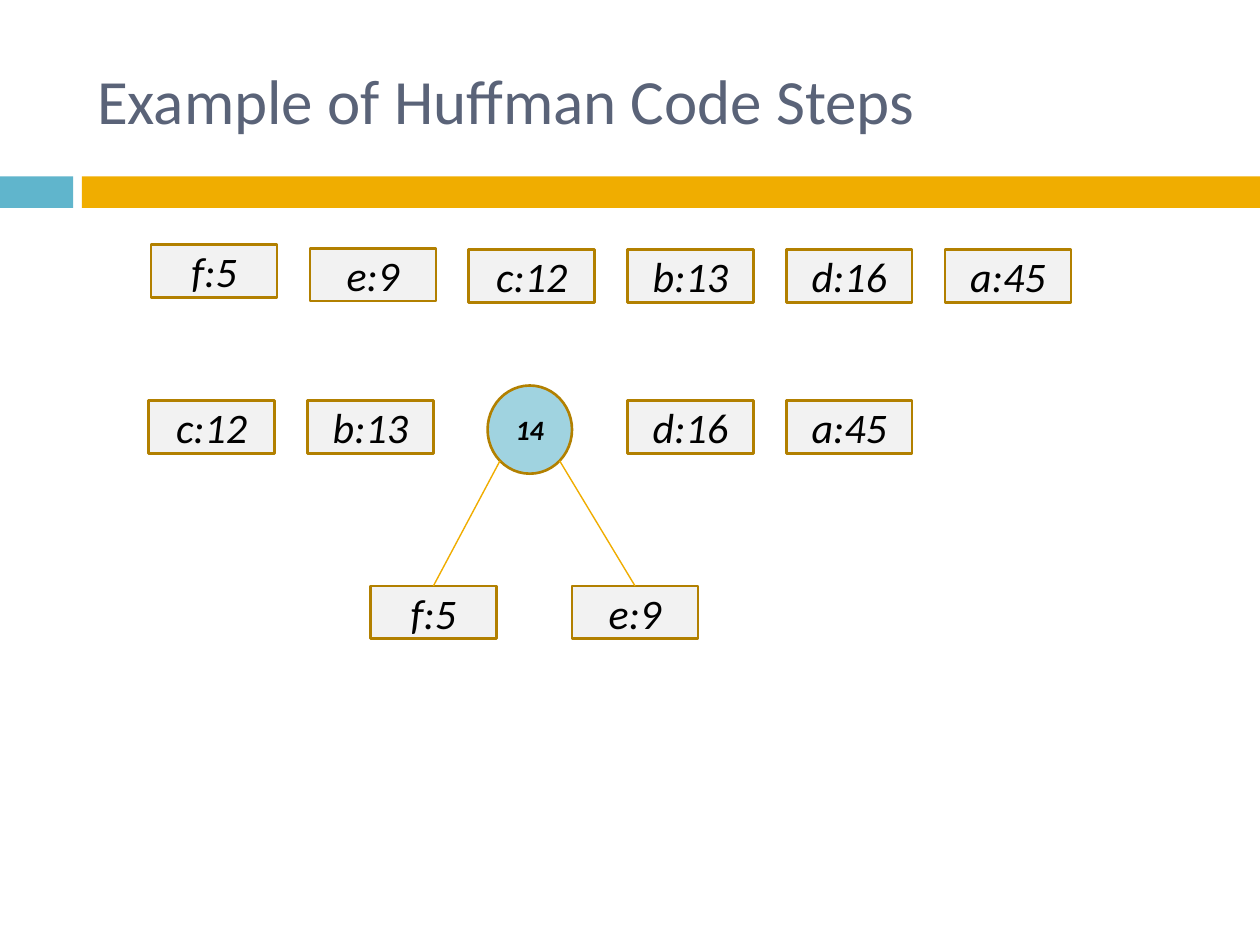
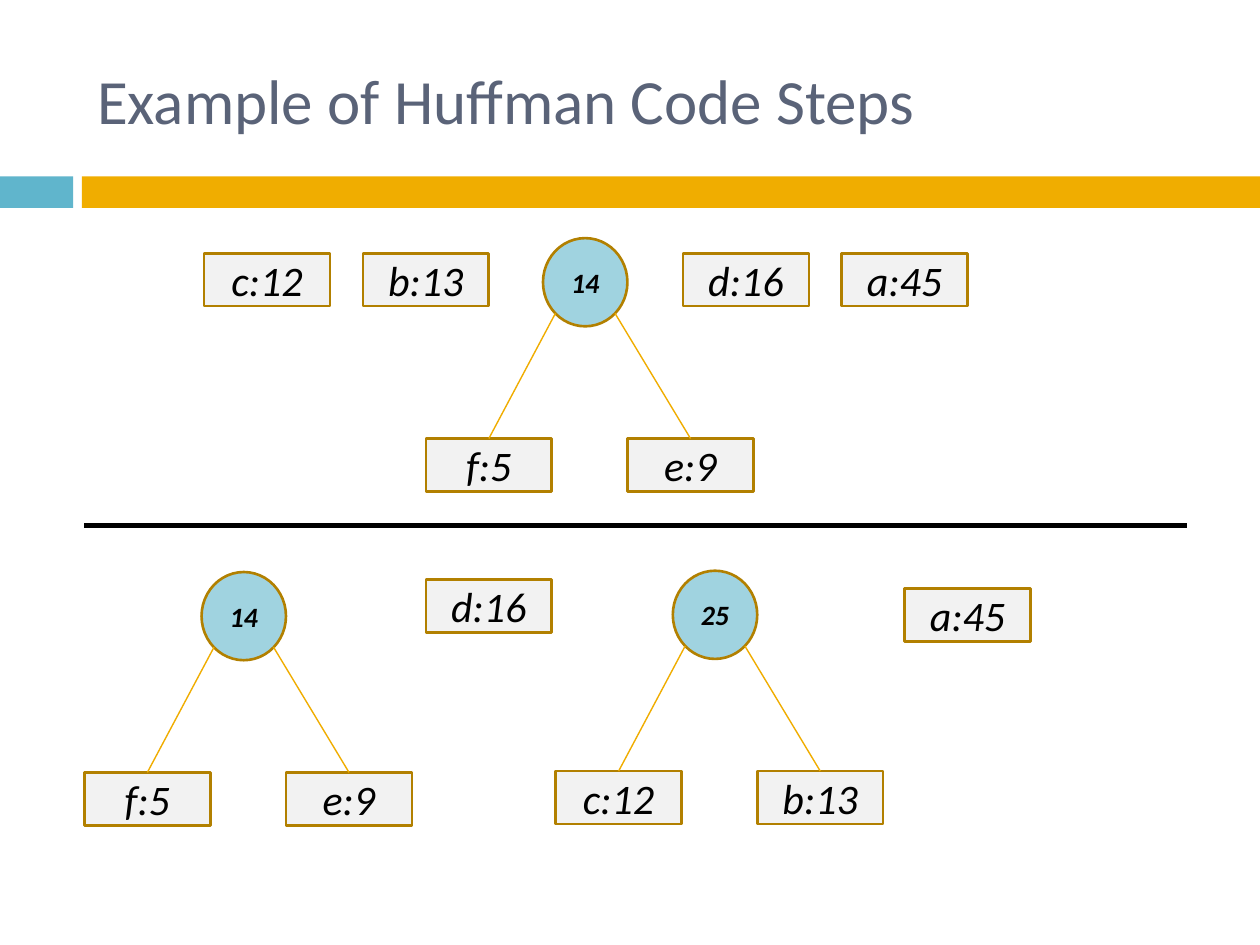
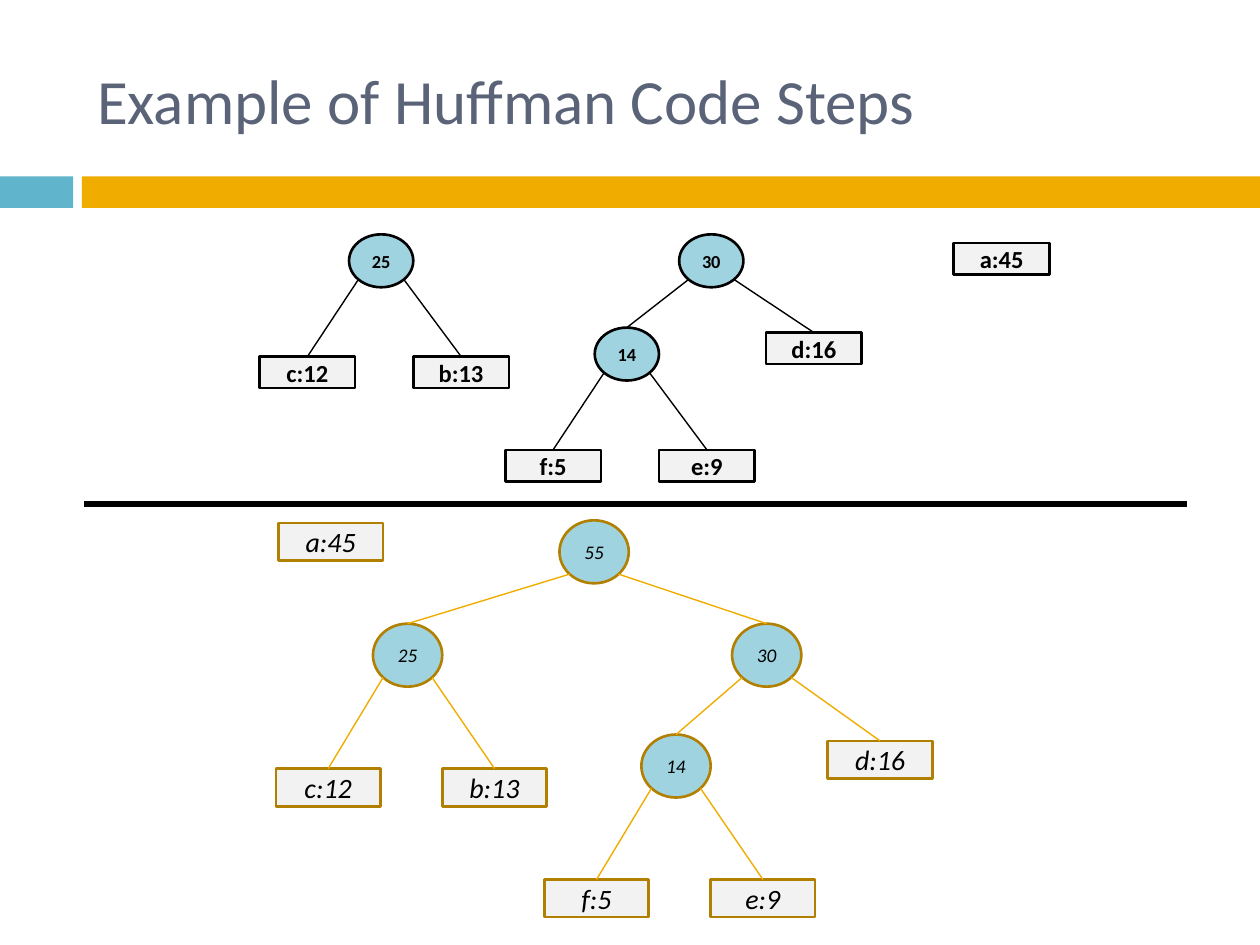
import math
from dataclasses import dataclass

from lxml import etree
from pptx import Presentation
from pptx.dml.color import RGBColor
from pptx.enum.shapes import MSO_CONNECTOR, MSO_SHAPE
from pptx.enum.text import MSO_ANCHOR, MSO_AUTO_SIZE, PP_ALIGN
from pptx.oxml.ns import qn
from pptx.util import Inches, Pt

RECTANGLE, OVAL = MSO_SHAPE.RECTANGLE, MSO_SHAPE.OVAL
STRAIGHT = MSO_CONNECTOR.STRAIGHT
MIDDLE = MSO_ANCHOR.MIDDLE
CENTER, LEFT = PP_ALIGN.CENTER, PP_ALIGN.LEFT
NO_AUTOFIT = MSO_AUTO_SIZE.NONE

TITLE_ONLY = 5
TITLE = "Example of Huffman Code Steps"
FONT = "Calibri"
COLORS = {
    "title": "5A6378",
    "blue": "60B5CC",
    "amber": "F0AD00",
    "outline": "B28000",
    "leaf": "F2F2F2",
    "node": "A0D3E0",
    "black": "000000",
}
LEAF_PITCH = 1.26


@dataclass
class TreeStyle:
    """Sizes, fonts and colours of one drawing of the tree."""
    leaf_size: tuple
    node_size: tuple
    leaf_points: float
    node_points: float
    leaf_shift: float  # from a node's left edge back to its left leaf
    leaf_drop: float  # from a node's top down to its leaves
    leaf_bold: bool = False
    node_bold: bool = False
    italic: bool = True
    outline: str = "outline"
    edge: str = "amber"


LARGE = TreeStyle((1, 0.42), (0.67, 0.7), 24, 16, 0.93, 1.59, node_bold=True)
SMALL = TreeStyle((0.76, 0.25), (0.51, 0.42), 14, 10.5, 0.71, 0.97,
                  leaf_bold=True, node_bold=True, italic=False,
                  outline="black", edge="black")
MEDIUM = TreeStyle((0.83, 0.3), (0.55, 0.5), 16, 11, 0.77, 1.15)


def color(name):
    return RGBColor.from_string(COLORS[name])


def add_span(para, text, points, color_name, bold=False, italic=False):
    span = para.add_run()
    span.text = text
    font = span.font
    font.name, font.size = FONT, Pt(points)
    font.bold, font.italic = bold, italic
    font.color.rgb = color(color_name)


def add_box(slide, kind, left, top, size, fill):
    box = slide.shapes.add_shape(kind, Inches(left), Inches(top),
                                 Inches(size[0]), Inches(size[1]))
    box.shadow.inherit = False
    box.fill.solid()
    box.fill.fore_color.rgb = color(fill)
    box.line.fill.background()
    return box


def label(box, text, points, style, bold):
    """Outline a tree element and write its centred text."""
    box.line.color.rgb = color(style.outline)
    box.line.width = Pt(1.5)
    frame = box.text_frame
    frame.margin_left = frame.margin_right = 0
    frame.margin_top = frame.margin_bottom = 0
    frame.word_wrap = False
    frame.vertical_anchor = MIDDLE
    para = frame.paragraphs[0]
    para.alignment = CENTER
    add_span(para, text, points, "black", bold, style.italic)


def add_leaf(slide, style, text, left, top):
    box = add_box(slide, RECTANGLE, left, top, style.leaf_size, "leaf")
    label(box, text, style.leaf_points, style, style.leaf_bold)
    return box


def add_node(slide, style, text, left, top):
    box = add_box(slide, OVAL, left, top, style.node_size, "node")
    label(box, text, style.node_points, style, style.node_bold)
    return box


def add_line(slide, start, end, color_name, points):
    line = slide.shapes.add_connector(STRAIGHT, *start, *end)
    line.line.color.rgb = color(color_name)
    line.line.width = Pt(points)
    etree.SubElement(line._element.spPr, qn("a:effectLst"))
    return line


def join(slide, style, node, left_child, right_child):
    """Draw edges from the node's lower diagonals to the children's tops."""
    reach = math.sqrt(0.5) / 2
    start_y = node.top + round(node.height * (0.5 + reach))
    for side, child in ((-1, left_child), (1, right_child)):
        start_x = node.left + round(node.width * (0.5 + side * reach))
        end = (child.left + child.width // 2, child.top)
        edge = add_line(slide, (start_x, start_y), end, style.edge, 0.79)
        edge.end_connect(child, 0)


def add_leaf_pair(slide, style, total, left, top, left_text, right_text):
    """Draw a node with two leaves and return the node."""
    leaf_top = top + style.leaf_drop
    left_leaf = add_leaf(slide, style, left_text, left - style.leaf_shift, leaf_top)
    right_leaf = add_leaf(slide, style, right_text, left + style.node_size[0], leaf_top)
    node = add_node(slide, style, total, left, top)
    join(slide, style, node, left_leaf, right_leaf)
    return node


def add_leaf_row(slide, texts, left, tops):
    for index, (text, top) in enumerate(zip(texts, tops)):
        add_leaf(slide, LARGE, text, left + index * LEAF_PITCH, top)


def add_first_merge(slide, left, top):
    """Draw the queue after f and e have been merged."""
    add_leaf_row(slide, ["c:12", "b:13"], left, [top, top])
    add_leaf_row(slide, ["d:16", "a:45"], left + 3.8, [top, top])
    add_leaf_pair(slide, LARGE, "14", left + 2.69, top - 0.12, "f:5", "e:9")


def add_divider(slide, top):
    add_line(slide, (Inches(0.67), Inches(top)), (Inches(9.42), Inches(top)),
             "black", 3)


def add_titled_slide(deck):
    slide = deck.slides.add_slide(deck.slide_layouts[TITLE_ONLY])
    add_box(slide, RECTANGLE, 0, 1.4, (0.58, 0.25), "blue")
    add_box(slide, RECTANGLE, 0.65, 1.4, (9.35, 0.25), "amber")
    title = slide.shapes.title
    title.left, title.top = Inches(0.67), Inches(0.25)
    title.width, title.height = Inches(8.92), Inches(1.08)
    frame = title.text_frame
    frame.auto_size = NO_AUTOFIT
    frame.vertical_anchor = MIDDLE
    para = frame.paragraphs[0]
    para.alignment = LEFT
    add_span(para, TITLE, 36, "title")
    return slide


def build_first_step(deck):
    slide = add_titled_slide(deck)
    add_leaf_row(slide, ["f:5", "e:9", "c:12", "b:13", "d:16", "a:45"], 1.2,
                 [1.94, 1.97, 1.98, 1.98, 1.98, 1.98])
    add_first_merge(slide, 1.18, 3.18)


def build_second_step(deck):
    slide = add_titled_slide(deck)
    add_first_merge(slide, 1.62, 2.01)
    add_divider(slide, 4.17)
    add_leaf_pair(slide, LARGE, "25", 5.34, 4.53, "c:12", "b:13")
    add_leaf_pair(slide, LARGE, "14", 1.6, 4.54, "f:5", "e:9")
    add_leaf(slide, LARGE, "d:16", 3.38, 4.6)
    add_leaf(slide, LARGE, "a:45", 7.18, 4.67)


def add_thirty(slide, style, node_at, fourteen_at, leaf_at):
    """Draw the subtree 30, made of the subtree 14 and d, and return its node."""
    fourteen = add_leaf_pair(slide, style, "14", *fourteen_at, "f:5", "e:9")
    leaf = add_leaf(slide, style, "d:16", *leaf_at)
    thirty = add_node(slide, style, "30", *node_at)
    join(slide, style, thirty, fourteen, leaf)
    return thirty


def build_last_steps(deck):
    slide = add_titled_slide(deck)
    add_leaf_pair(slide, SMALL, "25", 2.77, 1.86, "c:12", "b:13")
    add_thirty(slide, SMALL, (5.39, 1.86), (4.72, 2.6), (6.08, 2.64))
    add_leaf(slide, SMALL, "a:45", 7.57, 1.93)

    add_divider(slide, 4)
    add_leaf(slide, MEDIUM, "a:45", 2.21, 4.15)
    twenty_five = add_leaf_pair(slide, MEDIUM, "25", 2.96, 4.95, "c:12", "b:13")
    thirty = add_thirty(slide, MEDIUM, (5.81, 4.95), (5.09, 5.83), (6.57, 5.88))
    root = add_node(slide, MEDIUM, "55", 4.44, 4.13)
    join(slide, MEDIUM, root, twenty_five, thirty)


def main():
    deck = Presentation()
    deck.slide_width, deck.slide_height = Inches(10), Inches(7.5)
    build_first_step(deck)
    build_second_step(deck)
    build_last_steps(deck)
    deck.save("out.pptx")


if __name__ == "__main__":
    main()
